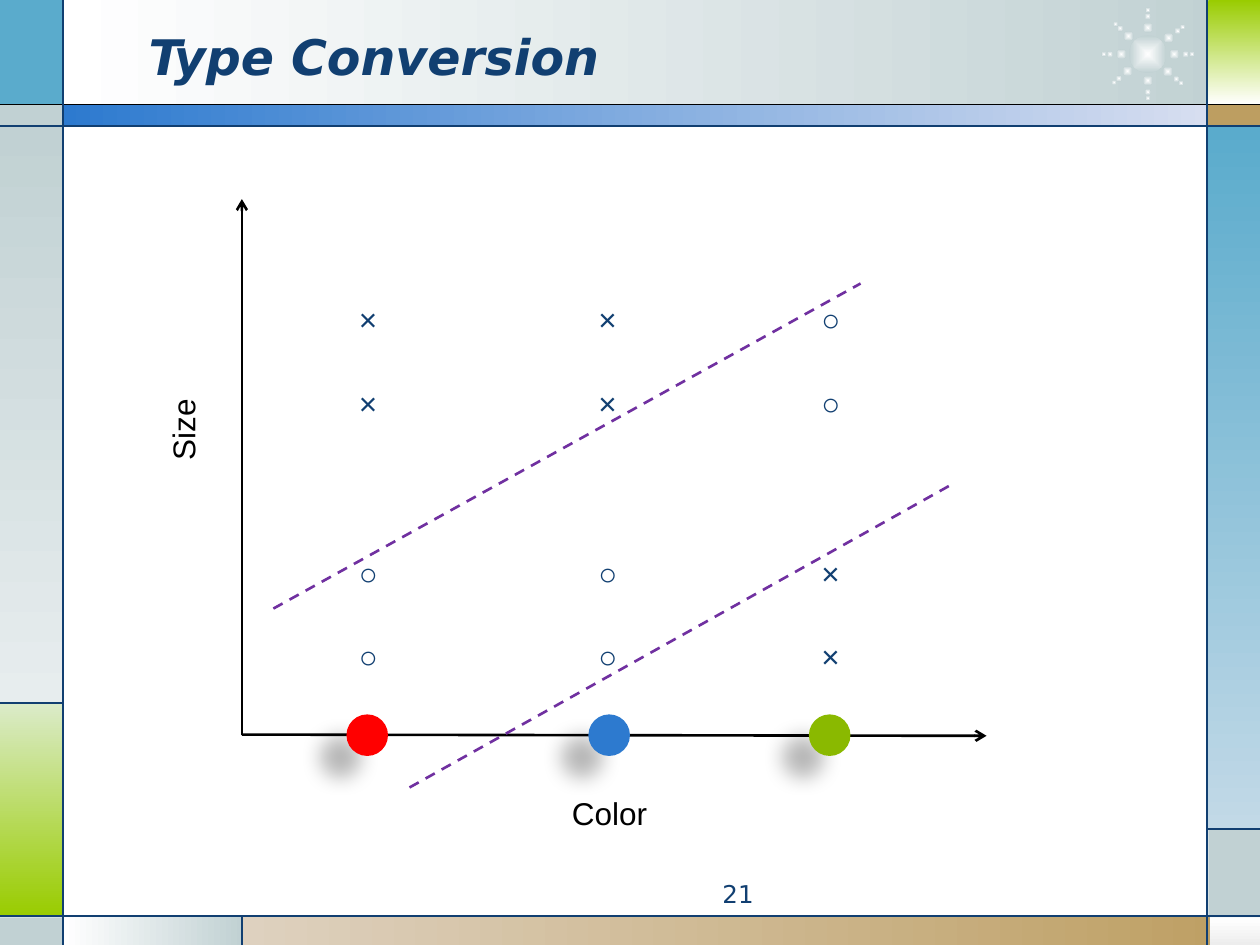
"""Build the Type Conversion slide: a size-by-color scatter with two dashed boundaries."""
from math import cos, radians, sin

from lxml import etree
from pptx import Presentation
from pptx import util as u
from pptx.dml.color import RGBColor
from pptx.enum import dml, shapes, text
from pptx.oxml.ns import qn

THEME = {
    "navy": "113F71", "black": "000000", "white": "FFFFFF", "mist": "C1D1D3",
    "fog": "E7EDEE", "sky": "5AABCC", "pale sky": "C2D9E7", "lime": "99CC00",
    "pale lime": "DBEBC9", "tan": "BD9E61", "pale tan": "DED1BF", "silver": "EDEDED",
    "blue": "2D7ACF", "pale blue": "D7DEF0", "red": "FF0000", "green": "8AB900",
    "purple": "7030A0",
    "title font": "DejaVu Sans", "body font": "Arial",
    "title size": 28, "body size": 18, "number size": 14,
    "frame width": 0.75, "chart width": 1.5,
}
RIGHT, DOWN = 0, 270

TITLE = "Type Conversion"
TITLE_BOX = (1.08, 0.13, 7.33, 0.62)
PANELS = [
    ((0.5, 0, 9.27, 0.84), ("white", "mist"), RIGHT),
    ((0, 0, 0.5, 0.84), ("sky",), None),
    ((0, 0.83, 0.5, 0.17), ("mist",), None),
    ((0, 1, 0.5, 4.58), ("mist", "fog"), DOWN),
    ((0, 5.58, 0.5, 1.69), ("pale lime", "lime"), DOWN),
    ((0, 7.28, 0.5, 0.22), ("mist",), None),
    ((0.5, 7.27, 1.43, 0.23), ("white", "mist"), RIGHT),
    ((1.92, 7.27, 8.08, 0.23), ("pale tan", "tan"), RIGHT),
    ((9.6, 7.28, 0.4, 0.22), ("white", "silver"), DOWN),
    ((9.59, 6.58, 0.41, 0.7), ("mist",), None),
    ((9.58, 1, 0.42, 5.58), ("sky", "pale sky"), DOWN),
    ((9.58, 0.83, 0.42, 0.17), ("tan",), None),
    ((9.59, 0, 0.41, 0.83), ("lime", "white"), DOWN),
    ((0.5, 0.83, 9.09, 0.17), ("blue", "pale blue"), RIGHT),
]
STAR_CENTER, STAR_CORE = (9.11, 0.43), 0.3
STAR_ANGLES = (0, 41, 90, 140, 180, 223, 270, 322)
STAR_BEADS = [(0.21, 0.08), (0.3, 0.05), (0.35, 0.04)]
FRAME_LINES = [
    ((0, 0.83), (10, 0.83), "black"), ((0, 1), (10, 1), "navy"),
    ((0, 7.27), (10, 7.27), "navy"), ((0.5, 0), (0.5, 7.5), "navy"),
    ((9.58, 0), (9.58, 7.5), "navy"), ((0.5, 5.58), (0, 5.58), "navy"),
    ((1.92, 7.27), (1.92, 7.5), "navy"), ((9.58, 6.58), (10, 6.58), "navy"),
]
AXES = [((1.92, 5.83), (7.83, 5.84)), ((1.92, 5.83), (1.92, 1.58))]
BOUNDARIES = [((2.17, 4.83), (6.83, 2.25)), ((3.25, 6.25), (7.58, 3.83))]
COLOR_DOTS = [(2.75, "red"), (4.67, "blue"), (6.42, "green")]
DOT_TOP, DOT_SIZE = 5.67, 0.33
MARK_COLUMNS = (2.75, 4.65, 6.42)
MARK_ROWS = [(2.33, "××○"), (3, "××○"), (4.35, "○○×"), (5.01, "○○×")]
MARK_SIZE = (0.35, 0.4)


def inches(values):
    return [u.Inches(value) for value in values]


def rgb(name):
    return RGBColor.from_string(THEME[name])


def apply(target, values):
    for name, value in values.items():
        setattr(target, name, value)


def add_child(parent, tag, **attributes):
    return etree.SubElement(parent, qn(tag), {k: str(v) for k, v in attributes.items()})


def add_filled(owner, preset, box, colors, angle=None):
    part = owner.add_shape(preset, *inches(box))
    part.shadow.inherit = False
    part.line.fill.background()
    if len(colors) == 1:
        part.fill.solid()
        part.fill.fore_color.rgb = rgb(colors[0])
        return part
    part.fill.gradient()
    for stop, color in zip(part.fill.gradient_stops, colors):
        stop.color.rgb = rgb(color)
    if angle is not None:
        part.fill.gradient_angle = angle
    return part


def add_bead(owner, center, size):
    box = (center[0] - size / 2, center[1] - size / 2, size, size)
    bead = add_filled(owner, shapes.MSO_SHAPE.OVAL, box, ("white", "mist"))
    gradient = bead._element.spPr.find(qn("a:gradFill"))
    gradient.remove(gradient.find(qn("a:lin")))
    focus = add_child(gradient, "a:path", path="shape")
    add_child(focus, "a:fillToRect", l=50000, t=50000, r=50000, b=50000)


def add_star(slide):
    star = slide.shapes.add_group_shape().shapes
    add_bead(star, STAR_CENTER, STAR_CORE)
    x, y = STAR_CENTER
    for angle in map(radians, STAR_ANGLES):
        for radius, size in STAR_BEADS:
            add_bead(star, (x + radius * cos(angle), y + radius * sin(angle)), size)


def add_line(slide, start, end, color, width, dash=None, arrow=False):
    line = slide.shapes.add_connector(
        shapes.MSO_CONNECTOR.STRAIGHT, *inches(start + end))
    line.line.color.rgb = rgb(color)
    apply(line.line, {"width": u.Pt(THEME[width]), "dash_style": dash})
    if arrow:
        add_child(line.line._ln, "a:tailEnd", type="arrow")
    add_child(line._element.spPr, "a:effectLst")


def write(frame, words, color, font, size, align=text.PP_ALIGN.LEFT, **style):
    frame.text = words
    paragraph = frame.paragraphs[0]
    paragraph.alignment = align
    apply(paragraph.font, {"name": THEME[font], "size": u.Pt(THEME[size]), **style})
    paragraph.font.color.rgb = rgb(color)


def add_label(slide, words, box, color):
    label = slide.shapes.add_textbox(*inches(box))
    apply(label.text_frame, {
        "word_wrap": False, "auto_size": text.MSO_AUTO_SIZE.SHAPE_TO_FIT_TEXT})
    write(label.text_frame, words, color, "body font", "body size")
    return label


def add_background(slide):
    for box, colors, angle in PANELS:
        add_filled(slide.shapes, shapes.MSO_SHAPE.RECTANGLE, box, colors, angle)
    add_star(slide)
    for start, end, color in FRAME_LINES:
        add_line(slide, start, end, color, "frame width")


def add_headings(slide):
    title = slide.shapes.title
    apply(title, dict(zip(("left", "top", "width", "height"), inches(TITLE_BOX))))
    apply(title.text_frame, {
        "vertical_anchor": text.MSO_ANCHOR.MIDDLE, "word_wrap": True,
        "auto_size": text.MSO_AUTO_SIZE.NONE})
    write(title.text_frame, TITLE, "navy", "title font", "title size",
          bold=True, italic=True)
    slide.shapes._spTree.append(title._element)
    number = slide.shapes.add_textbox(*inches((3.75, 6.93, 2.33, 0.27)))
    number.text_frame.word_wrap = True
    write(number.text_frame, "21", "navy", "title font", "number size",
          text.PP_ALIGN.RIGHT)


def add_scatter(slide):
    for start, end in AXES:
        add_line(slide, start, end, "black", "chart width", arrow=True)
    for left, color in COLOR_DOTS:
        box = (left, DOT_TOP, DOT_SIZE, DOT_SIZE)
        dot = add_filled(slide.shapes, shapes.MSO_SHAPE.OVAL, box, (color,))
        effects = dot._element.spPr.find(qn("a:effectLst"))
        shadow = add_child(effects, "a:outerShdw", blurRad=u.Pt(11.8),
                           dist=u.Pt(19.7), dir=141 * 60000, rotWithShape=0)
        shade = add_child(shadow, "a:srgbClr", val=THEME["black"])
        add_child(shade, "a:alpha", val=28000)
    for top, marks in MARK_ROWS:
        for left, mark in zip(MARK_COLUMNS, marks):
            add_label(slide, mark, (left, top, *MARK_SIZE), "navy")
    for start, end in BOUNDARIES:
        add_line(slide, start, end, "purple", "chart width", dml.MSO_LINE.DASH)
    add_label(slide, "Color", (4.44, 6.25, 0.81, 0.4), "black")
    size_label = add_label(slide, "Size", (1.25, 3.16, 0.5, 0.59), "black")
    size_label.rotation = 180
    size_label.text_frame._txBody.bodyPr.set("vert", "eaVert")


def main():
    deck = Presentation()
    apply(deck, {"slide_width": u.Inches(10), "slide_height": u.Inches(7.5)})
    slide = deck.slides.add_slide(deck.slide_layouts[5])
    add_background(slide)
    add_headings(slide)
    add_scatter(slide)
    deck.save("out.pptx")


if __name__ == "__main__":
    main()
